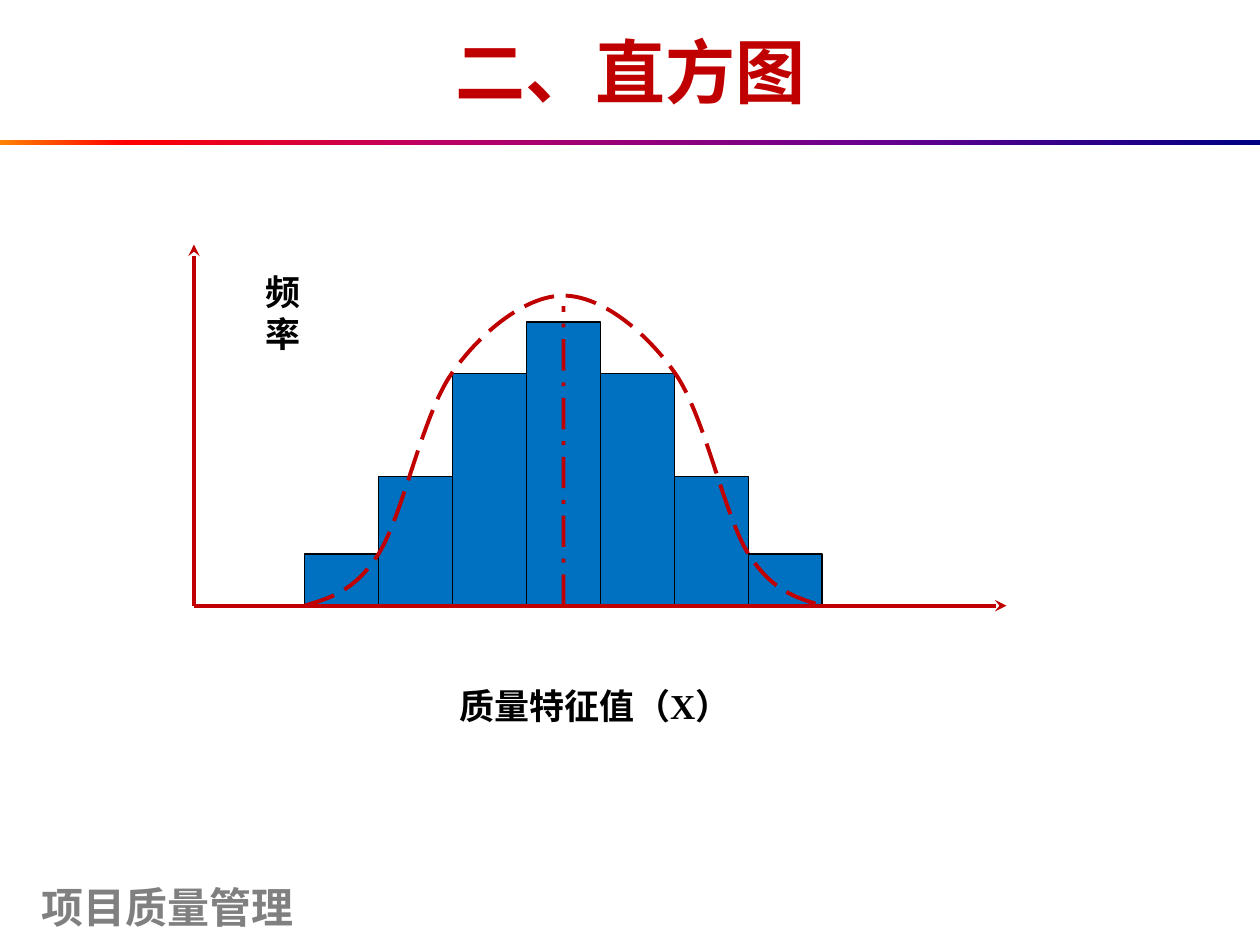
"""Build a slide explaining the histogram."""
import pptx
import pptx.dml.color
import pptx.enum.dml
import pptx.enum.shapes
import pptx.enum.text
import pptx.oxml.ns
import pptx.util
from lxml import etree
from pptx.util import Cm

COLORS = {
    "red": "C00000",
    "blue": "0070C0",
    "black": "000000",
    "gray": "808080",
    "white": "FFFFFF",
}
GRADIENT = {0: "FF8200", 10: "FF0000", 35: "BA0066", 70: "66008F", 100: "000082"}
BASELINE = 12.21
AXIS_LEFT = 3.91
AXIS_RIGHT = 20.29
AXIS_TOP = 4.93
CENTER = 11.36
BAR_WIDTH = 1.49
FREQUENCY_UNIT = 0.52
FREQUENCIES = [2, 5, 9, 11, 9, 5, 2]
HALF_CURVE = [
    (-5.22, 0), (-4.72, 0.15), (-4.22, 0.28), (-3.73, 1.04), (-3.23, 1.83),
    (-2.85, 3.84), (-2.24, 4.7), (-1.63, 5.56), (-0.74, 6.25), (0, 6.25),
]
ALIGN = pptx.enum.text.PP_ALIGN
ANCHOR = pptx.enum.text.MSO_ANCHOR
DASH = pptx.enum.dml.MSO_LINE
qn = pptx.oxml.ns.qn


def rgb(name):
    return pptx.dml.color.RGBColor.from_string(COLORS[name])


def style_line(line, color, width, dash=None):
    line.color.rgb = rgb(color)
    line.width = pptx.util.Pt(width)
    if dash:
        line.dash_style = dash


def write_text(shape, text, *, size, font, color, align=ALIGN.LEFT,
               anchor=ANCHOR.TOP, insets=(0.25, 0.13)):
    frame = shape.text_frame
    frame.word_wrap = True
    frame.vertical_anchor = anchor
    frame.margin_left = frame.margin_right = Cm(insets[0])
    frame.margin_top = frame.margin_bottom = Cm(insets[1])
    paragraph = frame.paragraphs[0]
    paragraph.alignment = align
    run = paragraph.add_run()
    run.text = text
    run.font.size = pptx.util.Pt(size)
    run.font.name = font
    run.font.bold = True
    run.font.color.rgb = rgb(color)


def add_rectangle(slide, left, top, width, height, fill, outline=None):
    shape = slide.shapes.add_shape(
        pptx.enum.shapes.MSO_SHAPE.RECTANGLE, Cm(left), Cm(top), Cm(width), Cm(height))
    shape.shadow.inherit = False
    shape.fill.solid()
    shape.fill.fore_color.rgb = rgb(fill)
    if outline:
        style_line(shape.line, outline, 0.75)
    else:
        shape.line.fill.background()
    return shape


def add_line(slide, start, end, dash=None, arrow=False):
    connector = slide.shapes.add_connector(
        pptx.enum.shapes.MSO_CONNECTOR.STRAIGHT, *map(Cm, start + end))
    style_line(connector.line, "red", 2.25, dash)
    properties = connector._element.spPr
    if arrow:
        etree.SubElement(properties.find(qn("a:ln")), qn("a:tailEnd"), type="stealth")
    etree.SubElement(properties, qn("a:effectLst"))
    return connector


def add_gradient_rule(slide):
    rule = add_rectangle(slide, 0, 2.82, 25.4, 0.1, "red")
    rule.fill.gradient()
    rule.fill.gradient_angle = 0
    stops = rule._element.spPr.find(".//" + qn("a:gsLst"))
    for stop in list(stops):
        stops.remove(stop)
    for percent, color in GRADIENT.items():
        stop = etree.SubElement(stops, qn("a:gs"), pos=str(percent * 1000))
        etree.SubElement(stop, qn("a:srgbClr"), val=color)


def add_bars(slide):
    left = CENTER - BAR_WIDTH * len(FREQUENCIES) / 2
    bars = []
    for index, frequency in enumerate(FREQUENCIES):
        height = frequency * FREQUENCY_UNIT
        bars.append(add_rectangle(slide, left + index * BAR_WIDTH, BASELINE - height,
                                  BAR_WIDTH, height, "blue", "black"))
    return bars


def add_bell_curve(slide):
    mirrored = [(-x, y) for x, y in reversed(HALF_CURVE[:-1])]
    points = [(Cm(CENTER + x), Cm(BASELINE - y)) for x, y in HALF_CURVE + mirrored]
    builder = slide.shapes.build_freeform(*points[0])
    builder.add_line_segments(points[1:], close=False)
    curve = builder.convert_to_shape()
    curve.shadow.inherit = False
    curve.fill.background()
    style_line(curve.line, "red", 2.25, DASH.LONG_DASH)
    outline = curve._element.spPr.find(".//" + qn("a:path"))
    segments = outline.findall(qn("a:lnTo"))
    for index in range(0, len(segments), 3):
        bezier = etree.SubElement(outline, qn("a:cubicBezTo"))
        for segment in segments[index:index + 3]:
            bezier.append(segment[0])
            outline.remove(segment)


def add_histogram(slide):
    bars = add_bars(slide)
    label = add_rectangle(slide, 9.12, 13.77, 5.97, 1.55, "white")
    write_text(label, "质量特征值（X）", size=20, font="Times New Roman", color="black",
               align=ALIGN.JUSTIFY, insets=(0.15, 0.03))
    origin = (AXIS_LEFT, BASELINE)
    add_line(slide, origin, (AXIS_RIGHT, BASELINE), arrow=True)
    add_line(slide, origin, (AXIS_LEFT, AXIS_TOP), arrow=True)
    center_line = add_line(slide, (CENTER, BASELINE), (CENTER, 6.17), DASH.LONG_DASH_DOT)
    center_line.begin_connect(bars[len(bars) // 2], 2)
    add_bell_curve(slide)
    label = add_rectangle(slide, 5.11, 5.33, 1.4, 2.41, "white")
    write_text(label, "频率", size=20, font="Times New Roman", color="black",
               align=ALIGN.JUSTIFY)


def add_title(slide, text):
    title = slide.shapes.title
    title.left, title.top, title.width, title.height = map(Cm, (1.3, 0.13, 22.81, 2.59))
    write_text(title, text, size=40, font="Arial", color="red",
               align=ALIGN.CENTER, anchor=ANCHOR.MIDDLE)


def add_footer(slide, text):
    footer = slide.shapes.add_textbox(Cm(0.58), Cm(17.65), Cm(6.35), Cm(1.27))
    write_text(footer, text, size=24, font="Arial", color="gray", anchor=ANCHOR.MIDDLE)


def main():
    presentation = pptx.Presentation()
    presentation.slide_width = Cm(25.4)
    presentation.slide_height = Cm(19.05)
    slide = presentation.slides.add_slide(presentation.slide_layouts[5])
    add_title(slide, "二、直方图")
    add_gradient_rule(slide)
    add_histogram(slide)
    add_footer(slide, "项目质量管理")
    presentation.save("out.pptx")


if __name__ == "__main__":
    main()
